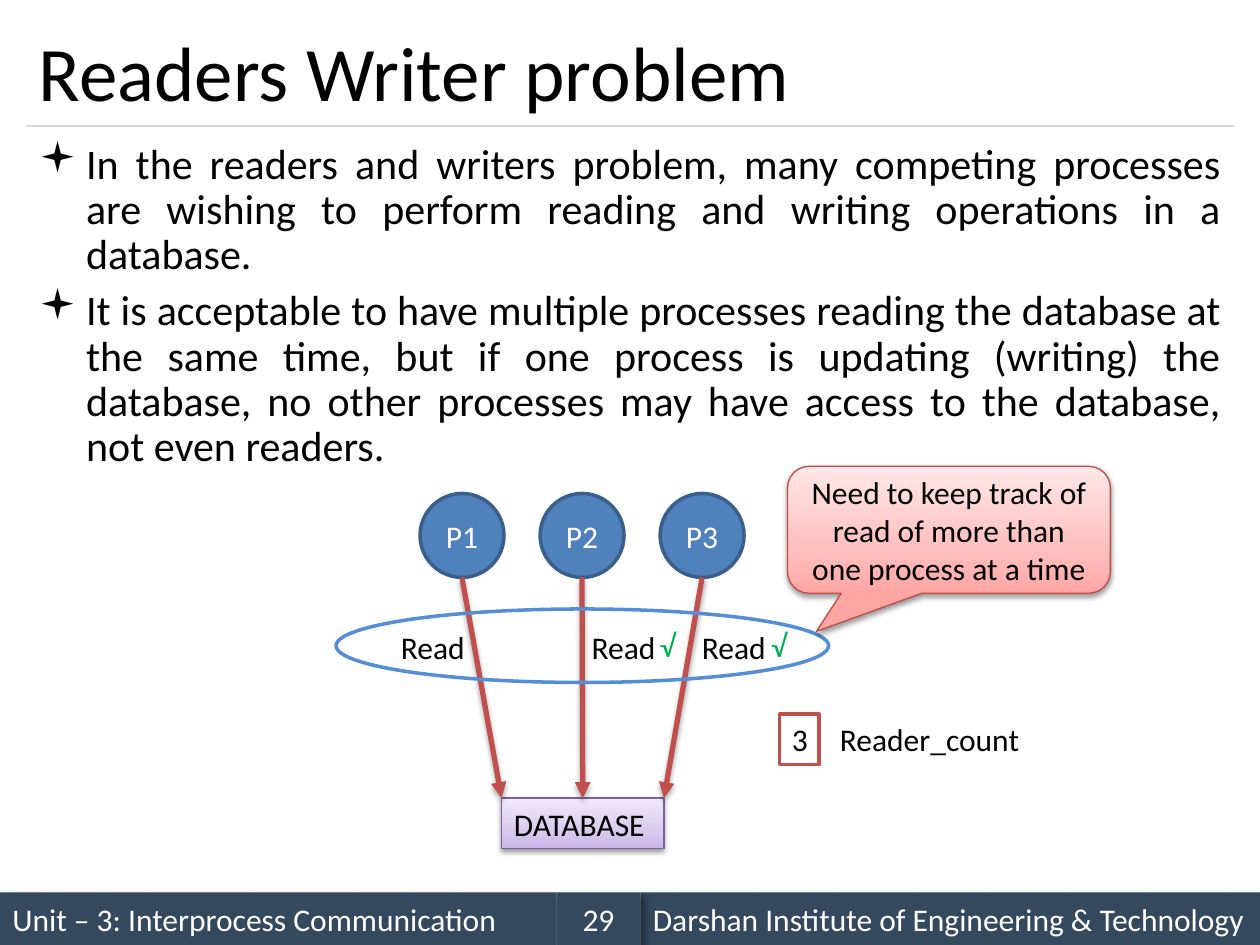
import copy

import pptx
import pptx.dml.color
import pptx.enum.shapes
import pptx.enum.text
import pptx.oxml
import pptx.oxml.ns
import pptx.util

Pt = pptx.util.Pt
RGB = pptx.dml.color.RGBColor
SHAPE = pptx.enum.shapes.MSO_SHAPE
ALIGN = pptx.enum.text.PP_ALIGN
ANCHOR = pptx.enum.text.MSO_ANCHOR
AUTOSIZE = pptx.enum.text.MSO_AUTO_SIZE
qn = pptx.oxml.ns.qn

FONT = "Calibri"
BLACK = RGB(0x00, 0x00, 0x00)
WHITE = RGB(0xFF, 0xFF, 0xFF)
NAVY = RGB(0x34, 0x49, 0x5E)
RULE = RGB(0xD9, 0xD9, 0xD9)
BLUE = RGB(0x4F, 0x81, 0xBD)
DARK_BLUE = RGB(0x3A, 0x5F, 0x8C)
LIGHT_BLUE = RGB(0x55, 0x8E, 0xD5)
RED = RGB(0xC0, 0x50, 0x4D)
CALLOUT_RED = RGB(0xBF, 0x4C, 0x48)
PURPLE = RGB(0x7D, 0x60, 0xA0)
GREEN = RGB(0x00, 0xB0, 0x50)
LILAC_STOPS = [(0, RGB(0xC9, 0xB5, 0xE8)), (0.35, RGB(0xD8, 0xCB, 0xEE)), (1, RGB(0xF0, 0xEA, 0xF9))]
PINK_STOPS = [(0, RGB(0xFF, 0xA6, 0xA5)), (0.35, RGB(0xFF, 0xC0, 0xBF)), (1, RGB(0xFF, 0xE7, 0xE7))]

FOOTER_SHADOW = (40, 4, 3, 45)
SOFT_SHADOW = (38, 3.1, 1.6, 90)
ARROW_SHADOW = (35, 3.1, 1.8, 90)

BULLETS = [
    "In the readers and writers problem, many competing processes are wishing to perform "
    "reading and writing operations in a database.",
    "It is acceptable to have multiple processes reading the database at the same time, but if "
    "one process is updating (writing) the database, no other processes may have access to the "
    "database, not even readers.",
]


def xml(text):
    namespace = 'xmlns:a="http://schemas.openxmlformats.org/drawingml/2006/main"'
    return pptx.oxml.parse_xml(text.replace("NS", namespace, 1))


def place(item, box):
    item.left, item.top, item.width, item.height = (Pt(length) for length in box)


def format_text(para, size, color, align=ALIGN.LEFT):
    para.alignment = align
    para.font.name = FONT
    para.font.size = Pt(size)
    para.font.color.rgb = color


def add_shadow(effects, shadow):
    alpha, blur, distance, angle = shadow
    effects.append(xml(
        f'<a:outerShdw NS blurRad="{Pt(blur)}" dist="{Pt(distance)}" dir="{angle * 60000}" '
        f'algn="ctr" rotWithShape="0"><a:srgbClr val="000000">'
        f'<a:alpha val="{alpha * 1000}"/></a:srgbClr></a:outerShdw>'))


def fill_gradient(shape, stops):
    shape.fill.gradient()
    shape.fill.gradient_angle = 90
    stop_list = next(shape.element.iter(qn("a:gsLst")))
    stop_list.insert(1, copy.deepcopy(stop_list[0]))
    for stop, (position, color) in zip(shape.fill.gradient_stops, stops):
        stop.position = position
        stop.color.rgb = color


def add_shape(page, kind, box, fill=None, line=None, width=0.75, shadow=None):
    shape = page.shapes.add_shape(kind, *(Pt(length) for length in box))
    if isinstance(fill, list):
        fill_gradient(shape, fill)
    elif fill is not None:
        shape.fill.solid()
        shape.fill.fore_color.rgb = fill
    else:
        shape.fill.background()
    if line is not None:
        shape.line.color.rgb = line
        shape.line.width = Pt(width)
    else:
        shape.line.fill.background()
    shape.shadow.inherit = False
    if shadow:
        add_shadow(next(shape.element.iter(qn("a:effectLst"))), shadow)
    return shape


def write(shape, text, color=BLACK, align=ALIGN.CENTER, wrap=False):
    frame = shape.text_frame
    frame.word_wrap = wrap
    frame.vertical_anchor = ANCHOR.MIDDLE
    frame.text = text
    format_text(frame.paragraphs[0], 18, color, align)


def add_label(page, text, box, color=BLACK):
    label = page.shapes.add_textbox(*(Pt(length) for length in box))
    write(label, text, color, ALIGN.LEFT)


def add_line(page, start, end, color, width, shadow=None, arrow=False):
    line = page.shapes.add_connector(
        pptx.enum.shapes.MSO_CONNECTOR.STRAIGHT, *(Pt(length) for length in start + end))
    line.line.color.rgb = color
    line.line.width = Pt(width)
    properties = line.element.find(qn("p:spPr"))
    if arrow:
        properties.find(qn("a:ln")).append(xml('<a:tailEnd NS type="triangle"/>'))
    effects = xml("<a:effectLst NS/>")
    properties.append(effects)
    if shadow:
        add_shadow(effects, shadow)


def build_footer(page, box):
    left, top, width, height = box
    parts = [
        ("Unit – 3: Interprocess Communication", 0, 318, ALIGN.LEFT),
        ("Darshan Institute of Engineering & Technology", 366, width - 366, ALIGN.LEFT),
        ("29", 318, 48, ALIGN.CENTER),
    ]
    for text, offset, part_width, align in parts:
        bar = add_shape(page, SHAPE.RECTANGLE, (left + offset, top, part_width, height),
                        NAVY, shadow=FOOTER_SHADOW)
        write(bar, text, WHITE, align)


def build_title(page, box):
    left, top, width, height = box
    title = page.shapes.title
    place(title, box)
    frame = title.text_frame
    frame.text = "Readers Writer problem"
    frame.vertical_anchor = ANCHOR.MIDDLE
    frame.auto_size = AUTOSIZE.NONE
    format_text(frame.paragraphs[0], 44, BLACK)
    bottom = top + height
    add_line(page, (left, bottom), (left + width, bottom), RULE, 0.75)


def build_body(page, box):
    body = page.placeholders[1]
    place(body, box)
    frame = body.text_frame
    frame.text = "\n".join(BULLETS)
    frame.auto_size = AUTOSIZE.NONE
    for index, para in enumerate(frame.paragraphs):
        properties = para._p.get_or_add_pPr()
        properties.set("marL", str(Pt(27)))
        properties.set("indent", str(Pt(-27)))
        properties.append(xml('<a:buFont NS typeface="Wingdings"/>'))
        properties.append(xml('<a:buChar NS char="▪"/>'))
        para.line_spacing = 0.9
        para.space_before = Pt(6 if index else 0)
        format_text(para, 24, BLACK, ALIGN.JUSTIFY)


def build_diagram(page, box):
    left, top, width, height = box
    circle, pitch, first = 48, 68.6, left + 48
    table_left, table_width, table_height = left + 94.6, 92.8, 29
    table_top = top + height - table_height
    database = add_shape(page, SHAPE.RECTANGLE, (table_left, table_top, table_width, table_height),
                         LILAC_STOPS, PURPLE, shadow=SOFT_SHADOW)
    write(database, "DATABASE", align=ALIGN.LEFT)
    for index, read_left in enumerate((30, 139, 202)):
        circle_left = first + index * pitch
        process = add_shape(page, SHAPE.OVAL, (circle_left, top, circle, circle),
                            BLUE, DARK_BLUE, 2)
        write(process, f"P{index + 1}", WHITE)
        add_line(page, (circle_left + circle / 2, top + circle),
                 (table_left + index * table_width / 2, table_top),
                 RED, 3, ARROW_SHADOW, arrow=True)
        add_label(page, "Read", (left + read_left, top + 73, 51, 29))
    for check_left in (178, 241.5):
        add_label(page, "√", (left + check_left, top + 72, 24, 29), GREEN)
    add_shape(page, SHAPE.OVAL, (left, top + 66, width, 42), line=LIGHT_BLUE, width=2)


def build_counter(page, box):
    left, top, width, height = box
    cell = add_shape(page, SHAPE.RECTANGLE, (left, top, 22.5, height), WHITE, RED, 2)
    write(cell, "3", align=ALIGN.LEFT)
    add_label(page, "Reader_count", (left + 27.4, top, width - 27.4, height))


def build_callout(page, box):
    callout = add_shape(page, SHAPE.ROUNDED_RECTANGULAR_CALLOUT, box,
                        PINK_STOPS, CALLOUT_RED, shadow=SOFT_SHADOW)
    for index, value in enumerate((-0.41, 0.8, 0.17)):
        callout.adjustments[index] = value
    write(callout, "Need to keep track of read of more than one process at a time", wrap=True)


def main():
    deck = pptx.Presentation()
    deck.slide_width, deck.slide_height = Pt(720), Pt(540)
    page = deck.slides.add_slide(deck.slide_layouts[1])
    build_footer(page, (0, 510, 720, 30))
    build_title(page, (15, 9, 690, 63))
    build_body(page, (15, 78, 690, 420))
    build_diagram(page, (192, 282, 281.5, 203))
    build_counter(page, (445.5, 408, 148.5, 29))
    build_callout(page, (450, 266.5, 184.5, 72.5))
    deck.save("out.pptx")


if __name__ == "__main__":
    main()
